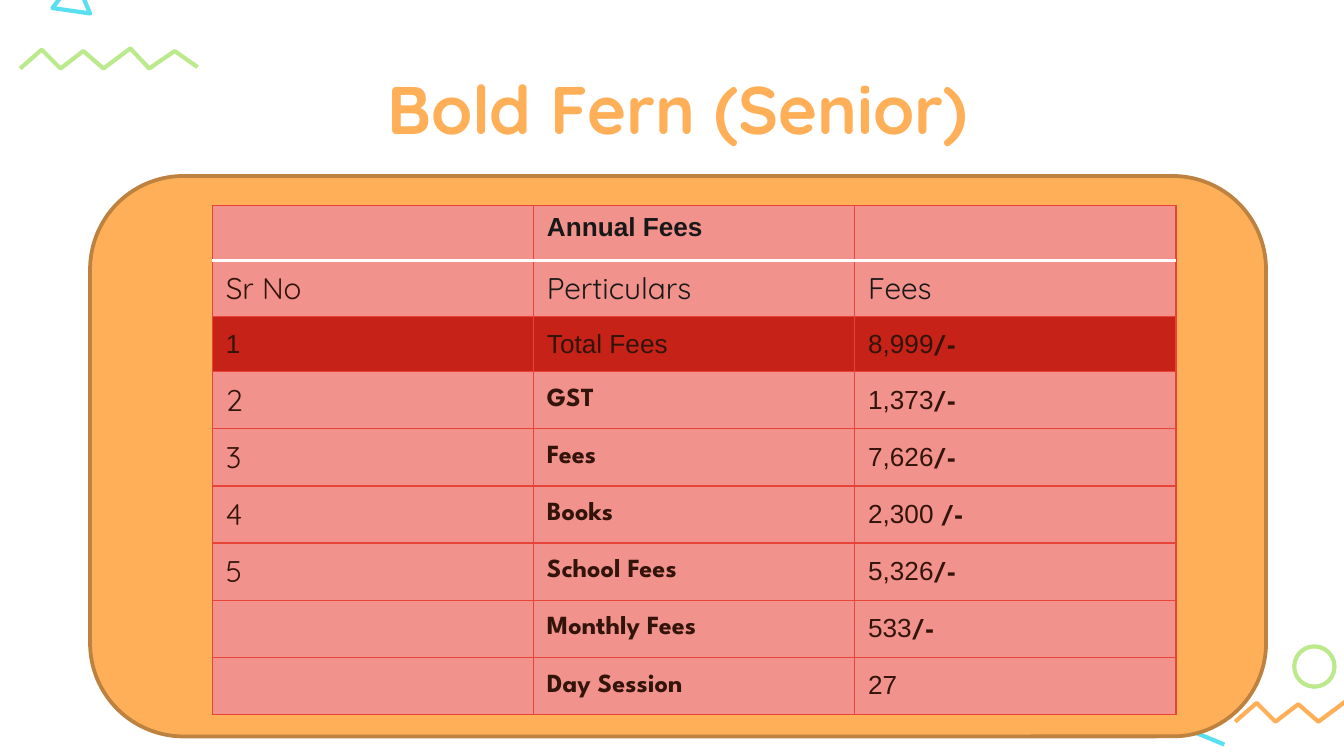
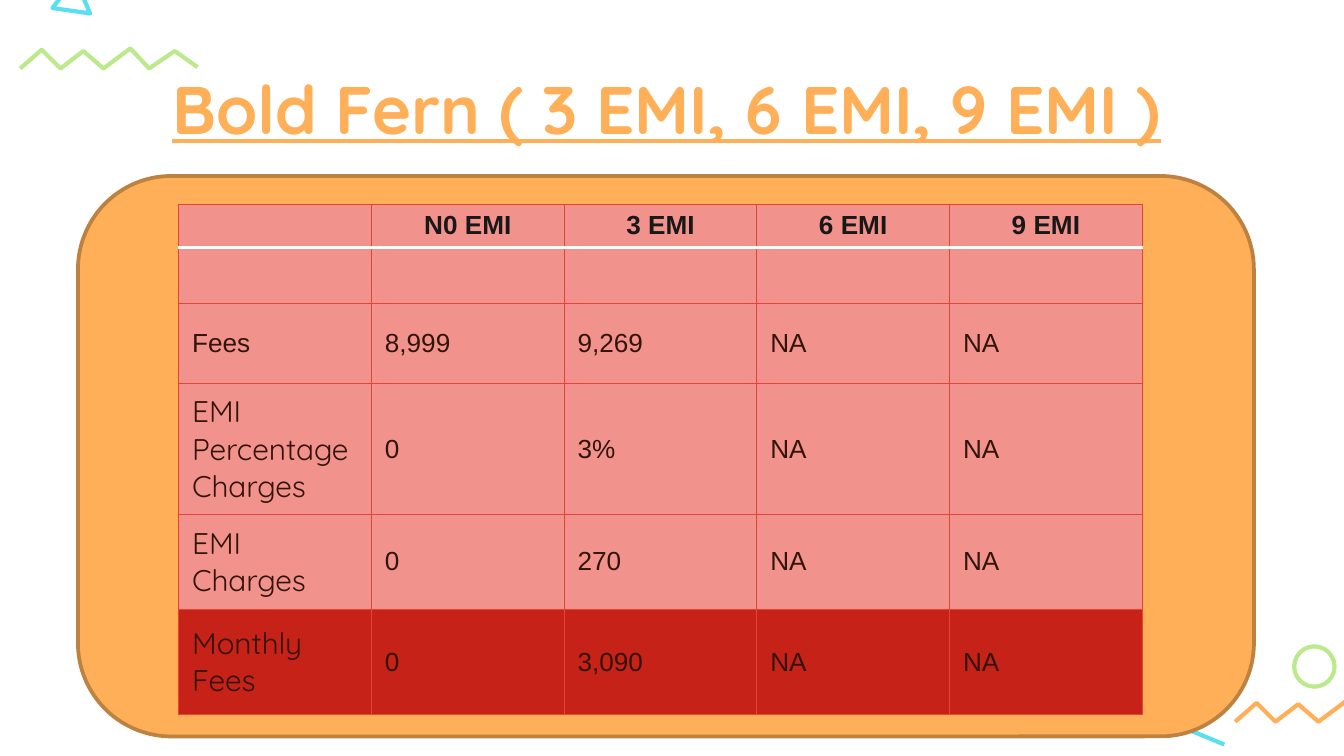
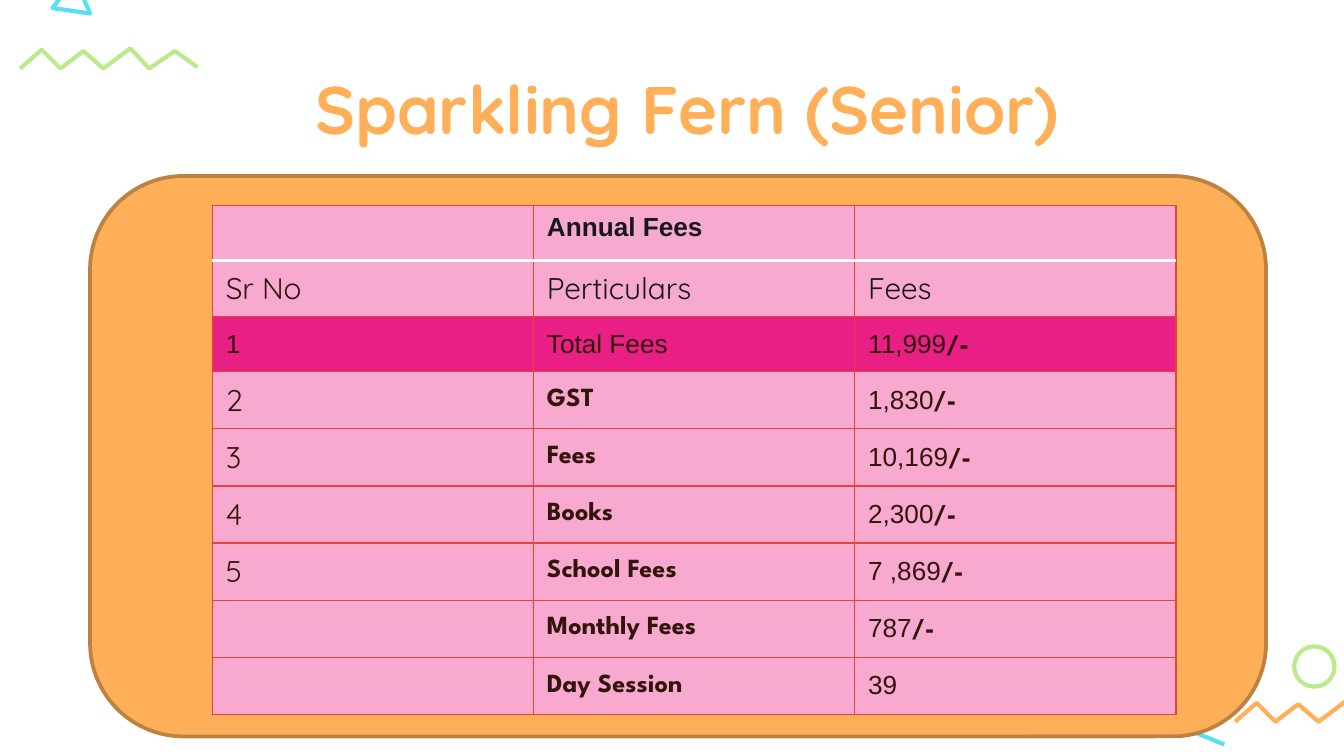
from collections import namedtuple

from lxml import etree
from pptx import Presentation
from pptx import util as u
from pptx.dml.color import RGBColor
from pptx.enum import shapes, text
from pptx.oxml.ns import qn

COLORS = {
    "orange": "FFAF57", "brown": "BD8140", "green": "BCE98C", "cyan": "58E0F1",
    "white": "FFFFFF", "border": "E74439", "head": "181818", "body": "33140B",
    "rose": "F1928C", "red": "C62218", "pink": "F7A9D0", "magenta": "E91F86",
}
WIDTH, HEIGHT = u.Inches(10), u.Inches(5.625)
COLUMNS = 100

Style = namedtuple("Style", "font size bold color")
HEADING = Style("Arial", 14, True, "head")
PLAIN = Style("Arial", 14, False, "body")
LIGHT = Style("Quicksand", 16, False, "body")
LABEL = Style("Quicksand", 16, False, "head")
STRONG = Style("League Spartan", 14, True, "body")
TITLE = Style("Quicksand", 36, True, "orange")

ZIGZAG = [(0, 1.5), (1.6, 0.1), (3, 1.5), (4.7, 0.2), (6.2, 1.5),
          (8.2, 0), (9.6, 1.5), (11.5, 0.2), (13.2, 1.4)]
TRIANGLE = [(6.7, 1), (5.6, -1.6), (3.9, 0.6)]
FEE_ITEMS = ["GST", "Fees", "Books", "School Fees", "Monthly Fees", "Day Session"]


def grid(*cells):
    """Turn counts of square grid cells into slide lengths."""
    return [round(WIDTH * c / COLUMNS) for c in cells]


def rgb(name):
    """Look up a palette colour."""
    return RGBColor.from_string(COLORS[name])


def outline(sp, color, width):
    """Give a shape a plain line and no shadow."""
    sp.line.color.rgb = rgb(color)
    sp.line.width = u.Pt(width)
    if hasattr(sp, "shadow"):
        sp.shadow.inherit = False


def add_run(p, words, style):
    """Add one styled run to a paragraph."""
    r = p.add_run()
    r.text = words
    r.font.name, r.font.size, r.font.bold = style.font, u.Pt(style.size), style.bold
    r.font.color.rgb = rgb(style.color)
    return r


def add_path(s, points, color, close=False):
    """Draw an unfilled outline through grid points."""
    (x, y), *rest = [grid(*pt) for pt in points]
    fb = s.shapes.build_freeform(x, y)
    fb.add_line_segments(rest, close=close)
    sp = fb.convert_to_shape()
    sp.fill.background()
    outline(sp, color, 2.25)


def add_decor(s):
    """Draw the ornaments shared by all slides."""
    for left, top, color in [(1.5, 3.6, "green"), (91.9, 52.2, "orange")]:
        add_path(s, [(left + x, top + y) for x, y in ZIGZAG], color)
    add_path(s, TRIANGLE, "cyan", close=True)
    ring = s.shapes.add_shape(shapes.MSO_SHAPE.OVAL, *grid(96.3, 48.1, 3, 3))
    ring.fill.background()
    outline(ring, "green", 2.25)
    dash = s.shapes.add_connector(shapes.MSO_CONNECTOR.STRAIGHT,
                                  *grid(87.7, 54, 91.1, 55.4))
    outline(dash, "cyan", 2.25)
    etree.SubElement(dash.element.find(qn("p:spPr")), qn("a:effectLst"))


def add_title(s, words, box, underline):
    """Place and format the title placeholder."""
    sp = s.shapes.title
    sp.left, sp.top, sp.width, sp.height = grid(*box)
    tf = sp.text_frame
    tf.word_wrap, tf.auto_size = True, text.MSO_AUTO_SIZE.NONE
    tf.vertical_anchor = text.MSO_ANCHOR.TOP
    tf.margin_left = tf.margin_right = tf.margin_top = tf.margin_bottom = u.Inches(0.1)
    p = tf.paragraphs[0]
    p.alignment = text.PP_ALIGN.CENTER
    r = add_run(p, words, TITLE)
    if underline:
        r.font.underline = True


def add_panel(s, left):
    """Draw the rounded panel behind the table."""
    sp = s.shapes.add_shape(shapes.MSO_SHAPE.ROUNDED_RECTANGLE,
                            *grid(left, 13.1, 87.5, 41.7))
    sp.fill.solid()
    sp.fill.fore_color.rgb = rgb("orange")
    outline(sp, "brown", 2)


def add_border(cell, side, color, width):
    """Draw one border of a table cell."""
    ln = etree.SubElement(cell._tc.get_or_add_tcPr(), qn("a:ln" + side),
                          w=str(u.Pt(width)))
    fill = etree.SubElement(ln, qn("a:solidFill"))
    etree.SubElement(fill, qn("a:srgbClr"), val=COLORS[color])


def fill_cell(cell, runs, fill, row, anchor, align):
    """Write and format one table cell."""
    for side in "LRTB":
        rule = (row, side) in [(0, "B"), (1, "T")]
        add_border(cell, side, "white" if rule else "border", 2 if rule else 0.75)
    cell.fill.solid()
    cell.fill.fore_color.rgb = rgb(fill)
    cell.vertical_anchor = anchor
    cell.margin_left = cell.margin_right = u.Inches(0.1)
    cell.margin_top = cell.margin_bottom = u.Inches(0.07 if row else 0.05)
    p = cell.text_frame.paragraphs[0]
    p.alignment = align
    for words, style in runs:
        add_run(p, words, style)
    if not runs:
        style = LIGHT if row else HEADING
        end = etree.SubElement(p._p, qn("a:endParaRPr"), sz=str(style.size * 100))
        etree.SubElement(end, qn("a:latin"), typeface=style.font)


def add_fee_table(s, place, heights, rows, fills, strong_row, label_anchor, head_align):
    """Build a bordered table with one highlighted row."""
    width = 71.7
    table = s.shapes.add_table(len(rows), len(rows[0]),
                               *grid(*place, width, sum(heights))).table
    table.first_row = table.horz_banding = False
    for col in table.columns:
        col.width, = grid(width / len(rows[0]))
    anchors = [text.MSO_ANCHOR.TOP, label_anchor]
    for i, row in enumerate(rows):
        table.rows[i].height, = grid(heights[i])
        anchor = anchors[i] if i < 2 else text.MSO_ANCHOR.MIDDLE
        align = text.PP_ALIGN.LEFT if i else head_align
        for j, runs in enumerate(row):
            fill_cell(table.cell(i, j), runs, fills[i == strong_row], i, anchor, align)


def start_slide(prs, title, box, panel_left, underline=False):
    """Add a slide with ornaments, title and panel."""
    s = prs.slides.add_slide(prs.slide_layouts[5])
    add_decor(s)
    add_title(s, title, box, underline)
    add_panel(s, panel_left)
    return s


def add_annual_slide(prs, title, total, amounts, session, fills):
    """Add a slide listing the annual fees of one plan."""
    s = start_slide(prs, title, (13.4, 4, 74, 10.3), 6.7)
    rows = [
        [[], [("Annual Fees", HEADING)], []],
        [[("Sr No", LIGHT)], [("Perticulars", LABEL)], [("Fees", LABEL)]],
        [[("1", PLAIN)], [("Total Fees", PLAIN)], [(total, PLAIN), ("/-", STRONG)]],
    ]
    values = [[(a, PLAIN), ("/-", STRONG)] for a in amounts] + [[(session, PLAIN)]]
    for n, (item, value) in enumerate(zip(FEE_ITEMS, values), 2):
        rows.append([[(str(n), LIGHT)] if n <= 5 else [], [(item, STRONG)], value])
    heights = [4.1] * 3 + [4.25] * len(FEE_ITEMS)
    add_fee_table(s, (15.8, 15.3), heights, rows, fills, 2,
                  text.MSO_ANCHOR.BOTTOM, text.PP_ALIGN.LEFT)


def add_emi_slide(prs):
    """Add the slide comparing instalment plans."""
    s = start_slide(prs, "Bold Fern ( 3 EMI, 6 EMI, 9 EMI )",
                    (6.5, 4, 86.2, 8.4), 5.8, underline=True)
    heads = ["N0 EMI", "3 EMI", "6 EMI", "9 EMI"]
    rows = [[[]] + [[(h, HEADING)] for h in heads], [[] for _ in range(5)]]
    for label, style, none, three in [
        ("Fees", PLAIN, "8,999", "9,269"),
        ("EMI Percentage Charges", LIGHT, "0", "3%"),
        ("EMI Charges", LIGHT, "0", "270"),
        ("Monthly Fees", LIGHT, "0", "3,090"),
    ]:
        rows.append([[(label, style)]] + [[(v, PLAIN)] for v in (none, three, "NA", "NA")])
    add_fee_table(s, (13.3, 15.2), [2.8, 3.5, 6, 8.5, 7.1, 7.8], rows, ("rose", "red"),
                  5, text.MSO_ANCHOR.MIDDLE, text.PP_ALIGN.CENTER)


def main():
    """Build and save the presentation."""
    prs = Presentation()
    prs.slide_width, prs.slide_height = WIDTH, HEIGHT
    add_annual_slide(prs, "Bold Fern (Senior)", "8,999",
                     ["1,373", "7,626", "2,300 ", "5,326", "533"], "27",
                     ("rose", "red"))
    add_emi_slide(prs)
    add_annual_slide(prs, " Sparkling Fern (Senior)", "11,999",
                     ["1,830", "10,169", "2,300", "7 ,869", "787"], "39",
                     ("pink", "magenta"))
    prs.save("out.pptx")


main()
